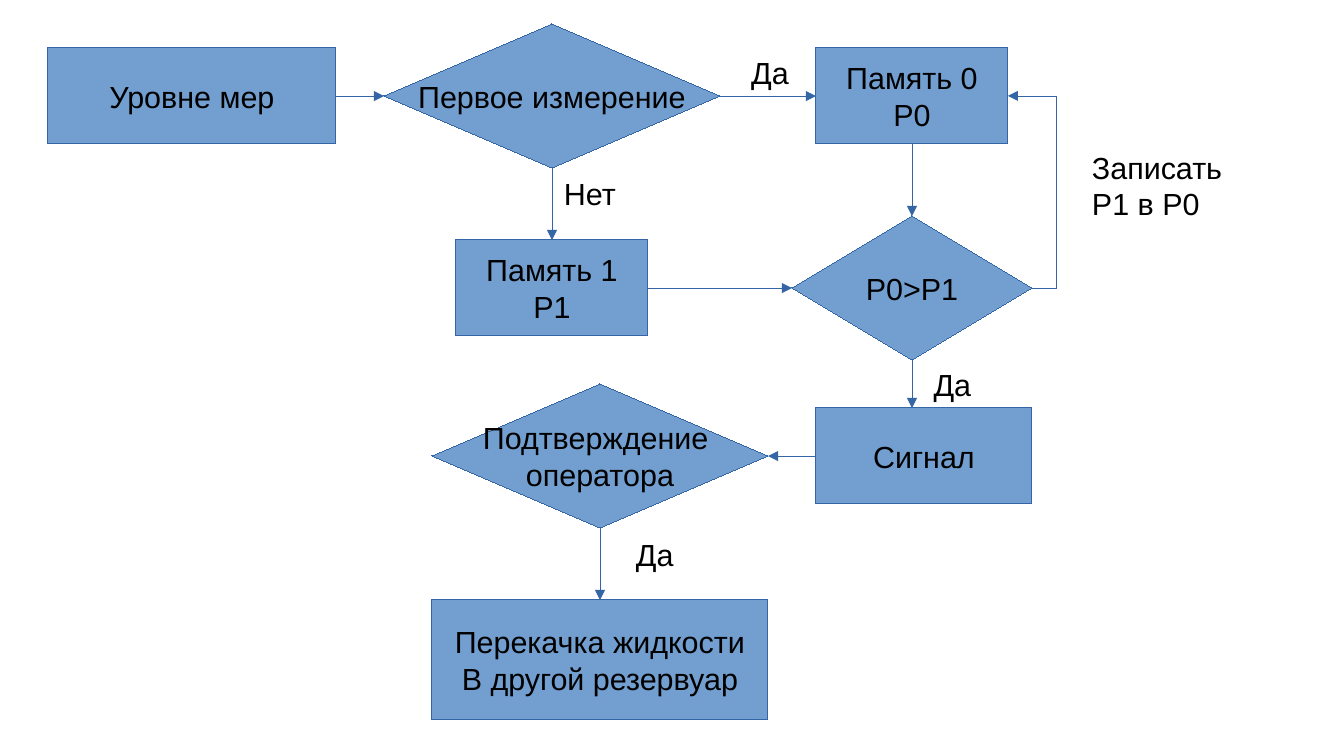
from lxml.etree import SubElement
from pptx import Presentation
from pptx.dml.color import RGBColor
from pptx.enum.shapes import MSO_CONNECTOR as Connector, MSO_SHAPE as Shape
from pptx.enum.text import MSO_ANCHOR as Anchor, MSO_AUTO_SIZE as AutoSize, PP_ALIGN as Align
from pptx.oxml.ns import qn
from pptx.util import Cm, Pt

COLORS = {"fill": "729FCF", "line": "3465A4", "text": "000000"}
CELL = Cm(0.5)
COLUMNS, ROWS = 56, 31.5
TOP, LEFT, BOTTOM, RIGHT = range(4)
BOX, DECISION = Shape.RECTANGLE, Shape.DIAMOND

# name: (form, column, row, columns wide, rows high, lines of text)
STEPS = {
    "meter": (BOX, 2, 2, 12, 4, ["Уровне мер"]),
    "first": (DECISION, 16, 1, 14, 6, ["Первое измерение"]),
    "memory0": (BOX, 34, 2, 8, 4, ["Память 0", "P0"]),
    "memory1": (BOX, 19, 10, 8, 4, ["Память 1", "P1"]),
    "compare": (DECISION, 33, 9, 10, 6, ["P0>P1"]),
    "signal": (BOX, 34, 17, 9, 4, ["Сигнал"]),
    "confirm": (DECISION, 18, 16, 14, 6, ["Подтверждение ", "оператора"]),
    "pump": (BOX, 18, 25, 14, 5, ["Перекачка жидкости", "В другой резервуар"]),
}
# (from step, side, to step, side)
ARROWS = [
    ("meter", RIGHT, "first", LEFT),
    ("first", RIGHT, "memory0", LEFT),
    ("first", BOTTOM, "memory1", TOP),
    ("memory0", BOTTOM, "compare", TOP),
    ("memory1", RIGHT, "compare", LEFT),
    ("signal", LEFT, "confirm", RIGHT),
    ("confirm", BOTTOM, "pump", TOP),
]
# Arrows between grid points: (kind, from column, row, to column, row)
SIGNAL_ARROW = (Connector.STRAIGHT, 38, 15, 38, 17)
RETURN_ARROW = (Connector.ELBOW, 43, 12, 42, 4)
RETURN_BEND = -100000  # one full width beyond the start
# (column, row, columns wide, rows high, lines of text)
LABELS = [
    (30.8, 2, 2.7, 1.93, ["Да"]),
    (23, 7.05, 3.4, 1.93, ["Нет"]),
    (38.4, 15, 2.7, 1.93, ["Да"]),
    (45, 5.95, 6.6, 3.35, ["Записать", "P1 в P0"]),
    (26, 22.1, 2.7, 1.93, ["Да"]),
]


def color(name):
    return RGBColor.from_string(COLORS[name])


def cells(*counts):
    return [round(count * CELL) for count in counts]


def write(shape, lines, align):
    frame = shape.text_frame
    frame.word_wrap = False
    for index, line in enumerate(lines):
        paragraph = frame.add_paragraph() if index else frame.paragraphs[0]
        paragraph.alignment = align
        run = paragraph.add_run()
        run.text = line
        run.font.name = "Arial"
        run.font.size = Pt(18)
        run.font.color.rgb = color("text")
    return frame


def style_line(shape):
    """Draw a hairline; an explicit zero width overrides the theme's width."""
    shape.line.color.rgb = color("line")
    outline = shape._element.spPr.find(qn("a:ln"))
    outline.set("w", "0")
    return outline


def add_step(slide, form, column, row, width, height, lines):
    shape = slide.shapes.add_shape(form, *cells(column, row, width, height))
    shape.shadow.inherit = False
    shape.fill.solid()
    shape.fill.fore_color.rgb = color("fill")
    style_line(shape)
    write(shape, lines, Align.CENTER).vertical_anchor = Anchor.MIDDLE
    return shape


def add_arrow(slide, kind, *points):
    arrow = slide.shapes.add_connector(kind, *cells(*points))
    SubElement(style_line(arrow), qn("a:tailEnd"), type="triangle")
    SubElement(arrow._element.spPr, qn("a:effectLst"))
    return arrow


def main():
    presentation = Presentation()
    presentation.slide_width, presentation.slide_height = cells(COLUMNS, ROWS)
    slide = presentation.slides.add_slide(presentation.slide_layouts[6])

    steps = {name: add_step(slide, *step) for name, step in STEPS.items()}

    for start, start_side, end, end_side in ARROWS:
        arrow = add_arrow(slide, Connector.STRAIGHT, 0, 0, 0, 0)
        arrow.begin_connect(steps[start], start_side)
        arrow.end_connect(steps[end], end_side)

    signal_arrow = add_arrow(slide, *SIGNAL_ARROW)
    signal_arrow.begin_connect(steps["compare"], BOTTOM)

    return_arrow = add_arrow(slide, *RETURN_ARROW)
    guides = return_arrow._element.spPr.find(qn("a:prstGeom")).find(qn("a:avLst"))
    SubElement(guides, qn("a:gd"), name="adj1", fmla=f"val {RETURN_BEND}")

    for *place, lines in LABELS:
        label = slide.shapes.add_textbox(*cells(*place))
        write(label, lines, Align.LEFT).auto_size = AutoSize.SHAPE_TO_FIT_TEXT

    presentation.save("out.pptx")


if __name__ == "__main__":
    main()
